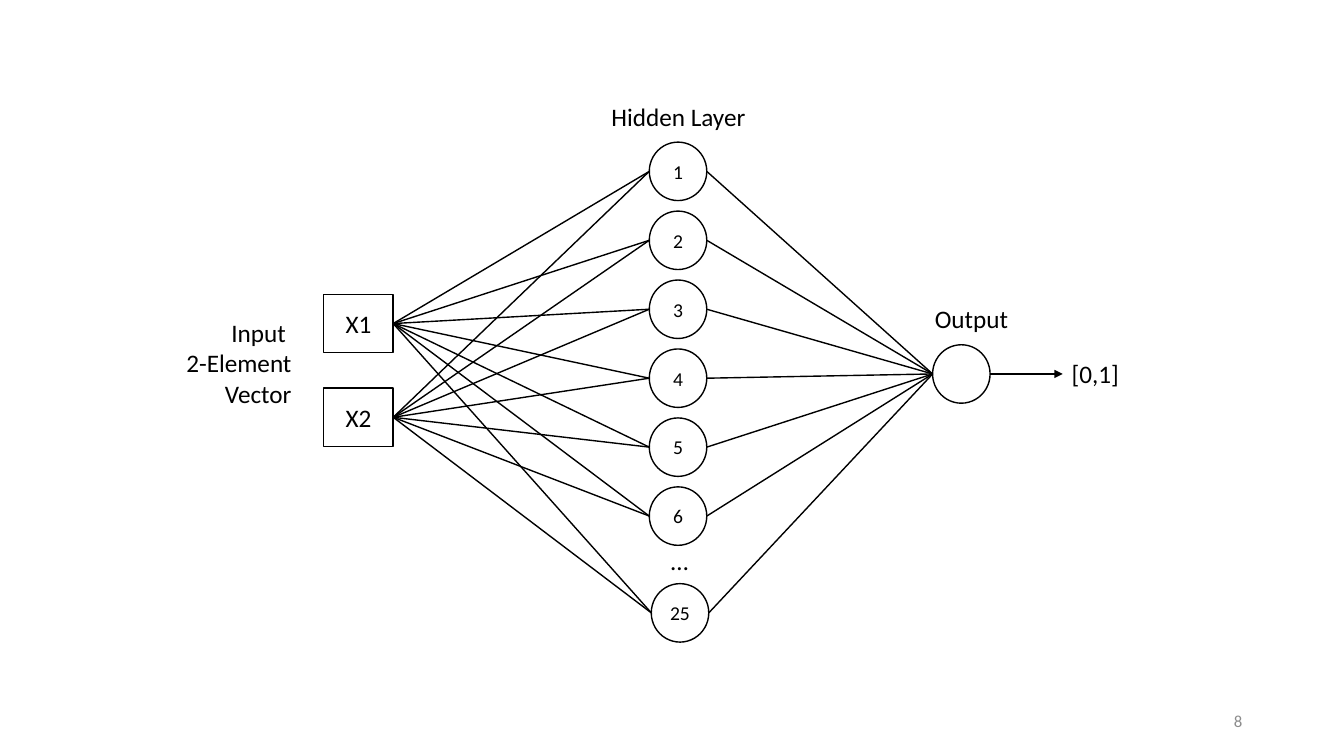
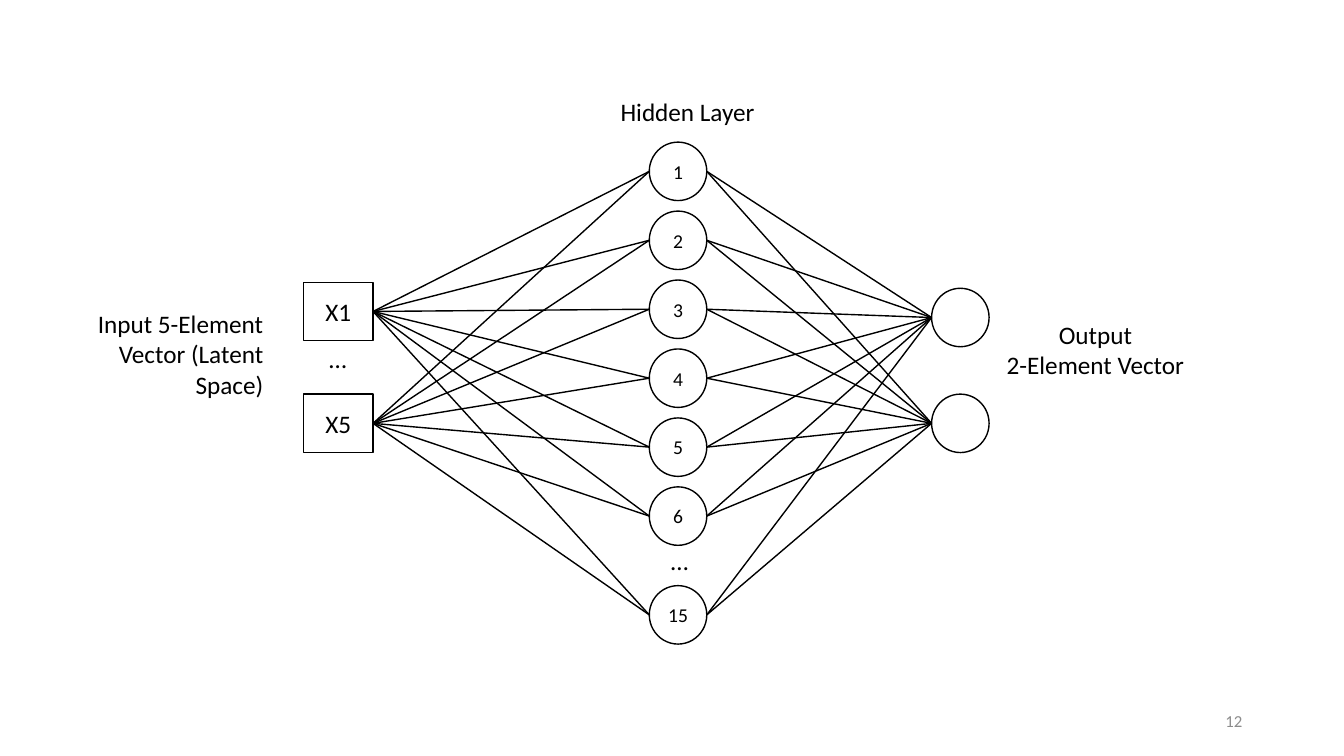
"""Build two slides of fully connected neural network diagrams."""
from lxml.etree import SubElement
from pptx import Presentation
from pptx.dml.color import RGBColor
from pptx.enum.shapes import MSO_CONNECTOR as Link, MSO_SHAPE as Preset
from pptx.enum.text import MSO_ANCHOR as Anchor, PP_ALIGN as Align
from pptx.oxml.ns import qn
from pptx.util import Inches, Pt

WIDTH, HEIGHT = 13.33, 7.5
FONT, INK, MUTED = "Calibri", "000000", "8C8C8C"
NODE_W, NODE_H, INPUT_W = 0.57, 0.58, 0.69
HIDDEN_X, HIDDEN_TOP, HIDDEN_SIXTH = 6.44, 1.41, 4.83
FIRST_UNITS = ["1", "2", "3", "4", "5", "6"]
PITCH = (HIDDEN_SIXTH - HIDDEN_TOP) / (len(FIRST_UNITS) - 1)
HIDDEN_DOTS = (["…"], (6.51, 5.41, 0.46, 0.3), Align.CENTER, Anchor.MIDDLE)

NETWORKS = [
    {
        "page": "8",
        "inputs": [("X1", 3.21, 2.92), ("X2", 3.21, 3.85)],
        "last_unit": ("25", 6.46, 5.79),
        "outputs": [("", 9.25, 3.42)],
        "result_arrow": 0.72,
        "captions": [
            (["Input ", "2-Element Vector"], (1.66, 3.1, 1.33, 1.01), Align.RIGHT, Anchor.TOP),
            (["Hidden Layer"], (5.93, 0.96, 1.6, 0.4), Align.CENTER, Anchor.TOP),
            (["Output"], (9.14, 2.96, 0.99, 0.4), Align.CENTER, Anchor.TOP),
            (["[0,1]"], (10.53, 3.51, 0.99, 0.4), Align.LEFT, Anchor.TOP),
        ],
    },
    {
        "page": "12",
        "inputs": [("X1", 3.01, 2.8), ("X5", 3.01, 3.91)],
        "last_unit": ("15", 6.44, 5.81),
        "outputs": [("", 9.24, 2.86), ("", 9.24, 3.91)],
        "result_arrow": 0,
        "captions": [
            (["Input 5-Element Vector (Latent Space)"], (0.84, 3.01, 1.87, 1.01), Align.RIGHT, Anchor.TOP),
            (["Hidden Layer"], (6.02, 0.91, 1.6, 0.4), Align.CENTER, Anchor.TOP),
            (["Output", "2-Element Vector"], (9.81, 3.12, 2.11, 0.71), Align.CENTER, Anchor.TOP),
            (["…"], (3.12, 3.41, 0.46, 0.3), Align.CENTER, Anchor.MIDDLE),
        ],
    },
]


def color(value):
    return RGBColor.from_string(value)


def write(frame, lines, size, ink, align, anchor):
    frame.text = "\n".join(lines)
    frame.word_wrap = True
    frame.vertical_anchor = anchor
    for paragraph in frame.paragraphs:
        paragraph.alignment = align
        paragraph.font.size = Pt(size)
        paragraph.font.name = FONT
        paragraph.font.color.rgb = color(ink)


def add_caption(slide, lines, box, align, anchor, size=18, ink=INK):
    caption = slide.shapes.add_textbox(*map(Inches, box))
    write(caption.text_frame, lines, size, ink, align, anchor)


def add_node(slide, preset, label, left, top, width, size):
    node = slide.shapes.add_shape(preset, *map(Inches, (left, top, width, NODE_H)))
    node.shadow.inherit = False
    node.fill.background()
    node.line.color.rgb = color(INK)
    node.line.width = Pt(1)
    if label:
        frame = node.text_frame
        frame.margin_left = frame.margin_right = 0
        write(frame, [label], size, INK, Align.CENTER, Anchor.MIDDLE)
    return node


def left_side(node):
    return node.left, node.top + node.height // 2


def right_side(node):
    return node.left + node.width, node.top + node.height // 2


def add_link(slide, start, end):
    link = slide.shapes.add_connector(Link.STRAIGHT, *start, *end)
    link.line.color.rgb = color(INK)
    link.line.width = Pt(1)
    SubElement(link._element.spPr, qn("a:effectLst"))
    return link


def add_network(slide, network):
    units = [(label, HIDDEN_X, HIDDEN_TOP + row * PITCH) for row, label in enumerate(FIRST_UNITS)]
    units.append(network["last_unit"])
    hidden = [add_node(slide, Preset.OVAL, *unit, NODE_W, 14) for unit in units]
    inputs = [add_node(slide, Preset.RECTANGLE, *entry, INPUT_W, 18) for entry in network["inputs"]]
    outputs = [add_node(slide, Preset.OVAL, *entry, NODE_W, 14) for entry in network["outputs"]]
    for unit in hidden:
        for source in inputs:
            add_link(slide, right_side(source), left_side(unit)).begin_connect(source, 3)
        for target in outputs:
            add_link(slide, right_side(unit), left_side(target))
    if network["result_arrow"]:
        x, y = right_side(outputs[0])
        arrow = add_link(slide, (x, y), (x + Inches(network["result_arrow"]), y))
        SubElement(arrow.line._get_or_add_ln(), qn("a:tailEnd"), type="triangle")
    for caption in [HIDDEN_DOTS, *network["captions"]]:
        add_caption(slide, *caption)
    add_caption(slide, [network["page"]], (9.42, 6.95, 3, 0.4), Align.RIGHT, Anchor.MIDDLE, 12, MUTED)


def main():
    deck = Presentation()
    deck.slide_width, deck.slide_height = Inches(WIDTH), Inches(HEIGHT)
    for network in NETWORKS:
        add_network(deck.slides.add_slide(deck.slide_layouts[6]), network)
    deck.save("out.pptx")


if __name__ == "__main__":
    main()
